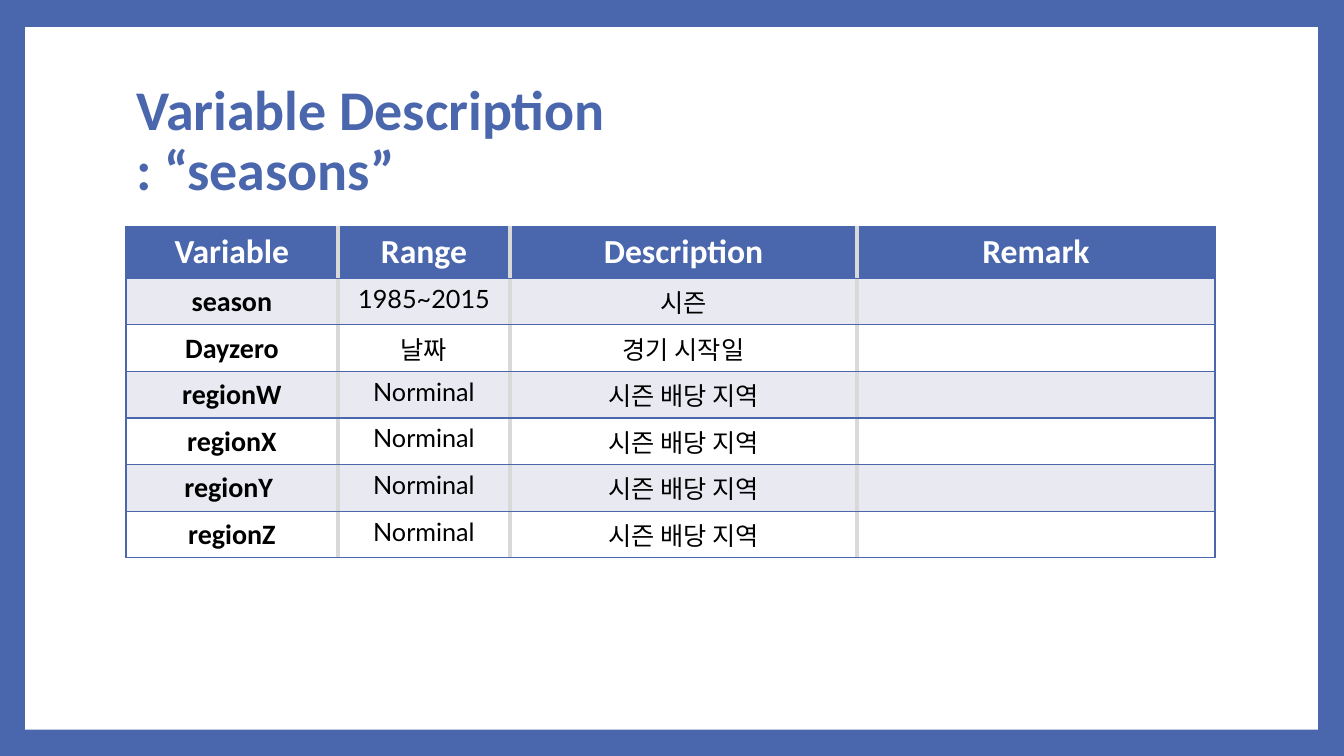
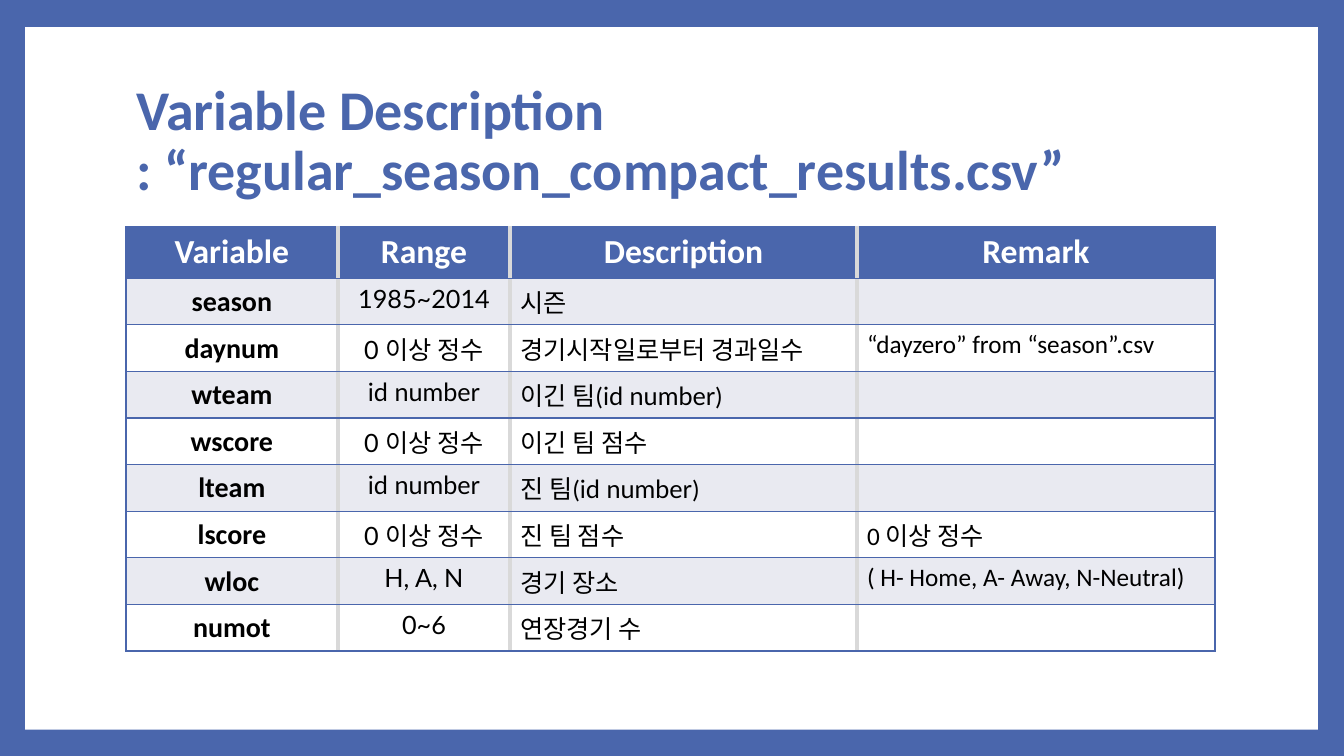
from lxml.etree import SubElement
from pptx import Presentation
from pptx.dml.color import RGBColor
from pptx.enum.shapes import MSO_SHAPE
from pptx.enum.text import MSO_ANCHOR, MSO_AUTO_SIZE, PP_ALIGN
from pptx.oxml import parse_xml
from pptx.oxml.ns import nsdecls, qn
from pptx.util import Inches, Pt

BLUE, WHITE, BLACK = "4A66AC", "FFFFFF", "000000"
BAND, DIVIDER = "E9EAF1", "D9D9D9"
HEADING_FONT, BODY_FONT = "Calibri", "Lato"
LEFT, CONTENT_WIDTH = 1.25, 10.8
COLUMN_WIDTHS = [2.1, 1.71, 3.44, 3.55]
HEADER_HEIGHT, ROW_HEIGHT = 0.51, 0.46
HEADERS = ["Variable", "Range", "Description", "Remark"]

SEASON_ROWS = [
    ["season", "1985~2015", "시즌", ""],
    ["Dayzero", "날짜", "경기 시작일", ""],
    ["regionW", "Norminal", "시즌 배당 지역", ""],
    ["regionX", "Norminal", "시즌 배당 지역", ""],
    ["regionY ", "Norminal", "시즌 배당 지역", ""],
    ["regionZ", "Norminal", "시즌 배당 지역", ""],
]
RESULT_ROWS = [
    ["season", "1985~2014", "시즌", ""],
    ["daynum", "0 이상 정수", "경기시작일로부터 경과일수", "“dayzero” from “season”.csv"],
    ["wteam", "id number", ["이긴 팀(", "id number", ")"], ""],
    ["wscore", "0 이상 정수", "이긴 팀 점수", ""],
    ["lteam", "id number", ["진 팀(", "id number", ")"], ""],
    ["lscore", "0 이상 정수", "진 팀 점수", "0 이상 정수"],
    ["wloc", "H, A, N", "경기 장소", "( H- Home, A- Away, N-Neutral)"],
    ["numot", "0~6", "연장경기 수", ""],
]


def color(value):
    return RGBColor.from_string(value)


def format_font(font, name, size, value, bold=False):
    font.name = name
    font.size = Pt(size)
    font.bold = bold
    font.color.rgb = color(value)


def fill_solid(target, value):
    target.fill.solid()
    target.fill.fore_color.rgb = color(value)


def add_frame(presentation, slide):
    master = presentation.slide_master
    fill_solid(master.background, BLUE)
    panel = slide.shapes.add_shape(
        MSO_SHAPE.RECTANGLE, Inches(0.25), Inches(0.27), Inches(12.82), Inches(6.97)
    )
    panel.shadow.inherit = False
    fill_solid(panel, WHITE)
    panel.line.fill.background()
    master.element.cSld.spTree.insert(2, panel.element)


def add_title(slide, text):
    title = slide.shapes.title
    title.left, title.top = Inches(LEFT), Inches(0.67)
    title.width, title.height = Inches(CONTENT_WIDTH), Inches(1.48)
    frame = title.text_frame
    frame.text = text
    frame.word_wrap = True
    frame.auto_size = MSO_AUTO_SIZE.NONE
    frame.vertical_anchor = MSO_ANCHOR.MIDDLE
    paragraph = frame.paragraphs[0]
    paragraph.alignment = PP_ALIGN.LEFT
    paragraph.line_spacing = 0.9
    for run in paragraph.runs:
        format_font(run.font, HEADING_FONT, 40, BLUE, True)


def set_borders(cell, column):
    left = (BLUE, 1) if column == 0 else (DIVIDER, 3)
    right = (BLUE, 1) if column == len(HEADERS) - 1 else (DIVIDER, 3)
    borders = {"lnL": left, "lnR": right, "lnT": (BLUE, 1), "lnB": (BLUE, 1)}
    properties = cell._tc.get_or_add_tcPr()
    for index, (tag, (value, width)) in enumerate(borders.items()):
        line = parse_xml(f'<a:{tag} {nsdecls("a")} w="{Pt(width)}"/>')
        solid = SubElement(line, qn("a:solidFill"))
        SubElement(solid, qn("a:srgbClr"), val=value)
        properties.insert(index, line)


def write_cell(cell, content, alignment):
    paragraph = cell.text_frame.paragraphs[0]
    paragraph.alignment = alignment
    for text in [content] if isinstance(content, str) else content:
        if text:
            paragraph.add_run().text = text
    return paragraph.runs


def fill_header_cell(cell, text):
    for run in write_cell(cell, text, PP_ALIGN.CENTER):
        format_font(run.font, HEADING_FONT, 24, WHITE, True)


def fill_variable_cell(cell, text):
    cell.vertical_anchor = MSO_ANCHOR.MIDDLE
    cell.margin_left = cell.margin_top = cell.margin_right = Inches(0.01)
    cell.margin_bottom = 0
    for run in write_cell(cell, text, PP_ALIGN.CENTER):
        format_font(run.font, HEADING_FONT, 20, BLACK, True)


def fill_detail_cell(cell, content, column, alignment):
    for run in write_cell(cell, content, alignment):
        is_body = column == 1 or run.text == "id number"
        format_font(run.font, BODY_FONT if is_body else HEADING_FONT, 18, BLACK)


def add_variable_table(slide, rows, description_alignment):
    height = HEADER_HEIGHT + ROW_HEIGHT * len(rows)
    table = slide.shapes.add_table(
        len(rows) + 1, len(HEADERS), Inches(LEFT), Inches(2.25),
        Inches(CONTENT_WIDTH), Inches(height),
    ).table
    table.first_row = table.horz_banding = False
    for column, width in zip(table.columns, COLUMN_WIDTHS):
        column.width = Inches(width)
    for row_index, contents in enumerate([HEADERS] + rows):
        is_header = row_index == 0
        table.rows[row_index].height = Inches(HEADER_HEIGHT if is_header else ROW_HEIGHT)
        background = BLUE if is_header else BAND if row_index % 2 else WHITE
        for column, content in enumerate(contents):
            cell = table.cell(row_index, column)
            fill_solid(cell, background)
            set_borders(cell, column)
            if is_header:
                fill_header_cell(cell, content)
            elif column == 0:
                fill_variable_cell(cell, content)
            else:
                alignment = PP_ALIGN.CENTER if column == 1 else description_alignment
                fill_detail_cell(cell, content, column, alignment)


def main():
    presentation = Presentation()
    presentation.slide_width = Inches(13.33)
    presentation.slide_height = Inches(7.5)
    pages = [
        ("seasons", SEASON_ROWS, PP_ALIGN.CENTER),
        ("regular_season_compact_results.csv", RESULT_ROWS, PP_ALIGN.LEFT),
    ]
    for index, (source, rows, alignment) in enumerate(pages):
        slide = presentation.slides.add_slide(presentation.slide_layouts[5])
        if index == 0:
            add_frame(presentation, slide)
        add_title(slide, f"Variable Description \v: “{source}”")
        add_variable_table(slide, rows, alignment)
    presentation.save("out.pptx")


if __name__ == "__main__":
    main()
